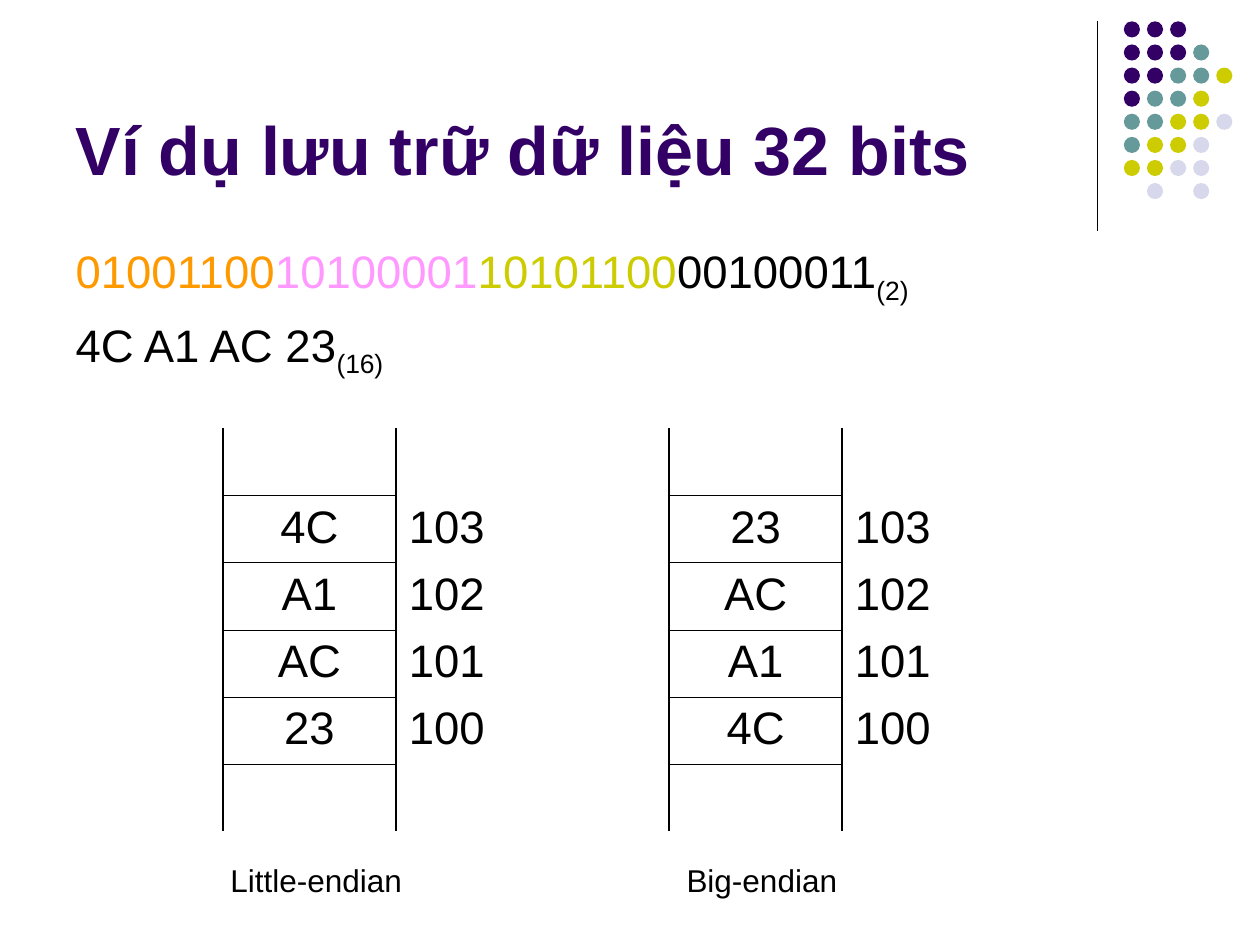
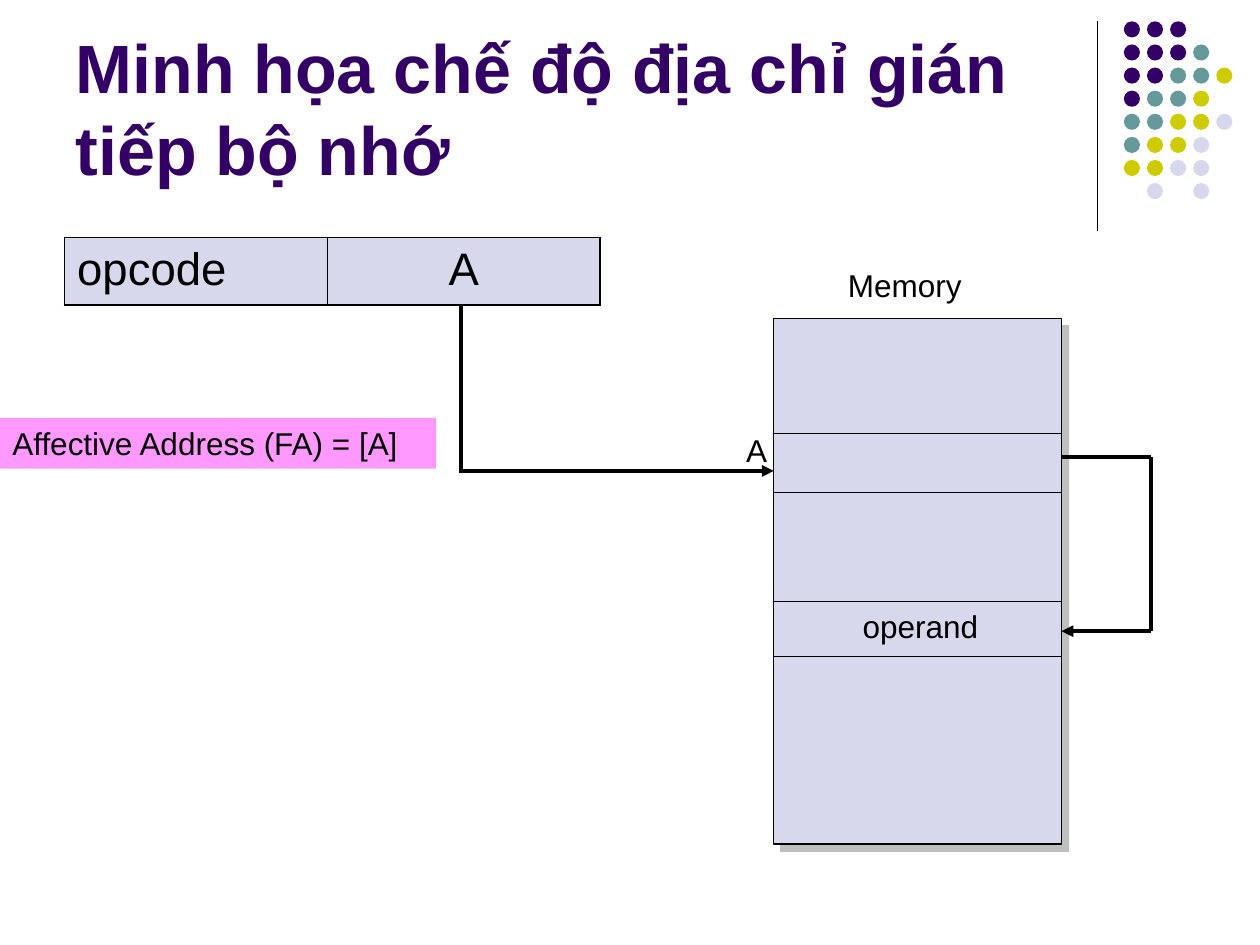
"""Builds two slides on byte order and memory-indirect addressing."""
from lxml import etree
from pptx import Presentation
from pptx.dml.color import RGBColor
from pptx.enum.shapes import MSO_CONNECTOR, MSO_SHAPE
from pptx.enum.text import MSO_ANCHOR, MSO_AUTO_SIZE, PP_ALIGN
from pptx.oxml.ns import qn
from pptx.util import Pt

STRAIGHT = MSO_CONNECTOR.STRAIGHT
OVAL, RECTANGLE = MSO_SHAPE.OVAL, MSO_SHAPE.RECTANGLE
LEFT, CENTER = PP_ALIGN.LEFT, PP_ALIGN.CENTER
BOTTOM = MSO_ANCHOR.BOTTOM
NO_AUTOFIT = MSO_AUTO_SIZE.NONE

FONT = "Arial"
COLORS = {
    "purple": "330066",
    "teal": "669999",
    "olive": "CCCC00",
    "lavender": "D8D8EC",
    "orange": "FF9900",
    "pink": "FF99FF",
    "black": "000000",
    "gray": "808080",
}
DOT_COLORS = {"P": "purple", "T": "teal", "O": "olive", "L": "lavender"}
DOT_ROWS = ["PPP", "PPPT", "PPTTO", "PTTO", "TTOOL", "TOOL", "OOLL", " L L"]
OUTER, INNER = 1.08, 0.45
ROW_HEIGHT = 38.4


def add_line(slide, x1, y1, x2, y2, width=0.75, arrow=False):
    line = slide.shapes.add_connector(STRAIGHT, Pt(x1), Pt(y1), Pt(x2), Pt(y2))
    line.line.color.rgb = RGBColor.from_string(COLORS["black"])
    line.line.width = Pt(width)
    if arrow:
        etree.SubElement(line.line._get_or_add_ln(), qn("a:tailEnd"), type="triangle")
    etree.SubElement(line._element.spPr, qn("a:effectLst"))


def format_cell(cell, text, alignment, borders, fill=None):
    paragraph = cell.text_frame.paragraphs[0]
    paragraph.text = text
    paragraph.alignment = alignment
    paragraph.font.name, paragraph.font.size = FONT, Pt(26)
    paragraph.font.color.rgb = RGBColor.from_string(COLORS["black"])
    if fill:
        cell.fill.solid()
        cell.fill.fore_color.rgb = RGBColor.from_string(COLORS[fill])
    else:
        cell.fill.background()
    properties = cell._tc.get_or_add_tcPr()
    for index, (side, width) in enumerate(zip("LRTB", borders)):
        border = etree.Element(qn(f"a:ln{side}"), w=str(Pt(width)))
        if width:
            solid = etree.SubElement(border, qn("a:solidFill"))
            etree.SubElement(solid, qn("a:srgbClr"), val=COLORS["black"])
        else:
            etree.SubElement(border, qn("a:noFill"))
        properties.insert(index, border)


presentation = Presentation()
presentation.slide_width, presentation.slide_height = Pt(720), Pt(540)
layouts = presentation.slide_layouts
storage_slide = presentation.slides.add_slide(layouts[1])
indirect_slide = presentation.slides.add_slide(layouts[5])

titles = [
    (storage_slide, "Ví dụ lưu trữ dữ liệu 32 bits"),
    (indirect_slide, "Minh họa chế độ địa chỉ gián tiếp bộ nhớ"),
]
for slide, title_text in titles:
    add_line(slide, 627.1, 12.2, 627.1, 131.8)
    for row, dots in enumerate(DOT_ROWS):
        for column, letter in enumerate(dots):
            if letter == " ":
                continue
            dot = slide.shapes.add_shape(
                OVAL, Pt(642.2 + 13.2 * column), Pt(12.2 + 13.2 * row), Pt(9.2), Pt(9.2))
            dot.shadow.inherit = False
            dot.fill.solid()
            dot.fill.fore_color.rgb = RGBColor.from_string(COLORS[DOT_COLORS[letter]])
            dot.line.fill.background()
    title = slide.shapes.title
    title.left, title.top, title.width, title.height = Pt(36), Pt(9.4), Pt(594), Pt(102.2)
    title.text_frame.text = title_text
    title.text_frame.auto_size = NO_AUTOFIT
    title.text_frame.vertical_anchor = BOTTOM
    paragraph = title.text_frame.paragraphs[0]
    paragraph.alignment = LEFT
    font = paragraph.runs[0].font
    font.name, font.size, font.bold = FONT, Pt(39), True
    font.color.rgb = RGBColor.from_string(COLORS["purple"])

body = storage_slide.placeholders[1]
body.left, body.top, body.width, body.height = Pt(36), Pt(135.4), Pt(610.6), Pt(347)
body.text_frame.auto_size = NO_AUTOFIT
numbers = [
    [("01001100", "orange"), ("10100001", "pink"), ("10101100", "olive"),
     ("00100011", "black"), ("(2)", "black")],
    [("4C A1 AC 23", "black"), ("(16)", "black")],
]
for index, parts in enumerate(numbers):
    paragraph = body.text_frame.add_paragraph() if index else body.text_frame.paragraphs[0]
    properties = paragraph._p.get_or_add_pPr()
    properties.set("marL", str(Pt(27)))
    properties.set("indent", str(-Pt(27)))
    etree.SubElement(properties, qn("a:buNone"))
    paragraph.space_before = Pt(6.5 * index)
    for text, color in parts:
        run = paragraph.add_run()
        run.text = text
        run.font.name, run.font.size = FONT, Pt(26)
        run.font.color.rgb = RGBColor.from_string(COLORS[color])
        if text.startswith("("):
            run.font._element.set("baseline", "-25000")

stored_bytes = ["4C", "A1", "AC", "23"]
addresses = ["", "103", "102", "101", "100", ""]
for left, values in [(127.4, stored_bytes), (382.3, stored_bytes[::-1])]:
    table = storage_slide.shapes.add_table(
        6, 2, Pt(left), Pt(244.8), Pt(198), Pt(6 * ROW_HEIGHT)).table
    table.first_row = table.horz_banding = False
    for row, (value, address) in enumerate(zip(["", *values, ""], addresses)):
        top = INNER if row > 0 else 0
        bottom = INNER if row < 5 else 0
        format_cell(table.cell(row, 0), value, CENTER, (OUTER, OUTER, top, bottom))
        format_cell(table.cell(row, 1), address, LEFT, (OUTER, 0, 0, 0))

memory_left, memory_right = 442.1, 606.6
memory = indirect_slide.shapes.add_shape(
    RECTANGLE, Pt(memory_left), Pt(182.2), Pt(memory_right - memory_left), Pt(300.2))
memory.shadow.inherit = False
memory.fill.solid()
memory.fill.fore_color.rgb = RGBColor.from_string(COLORS["lavender"])
memory.line.color.rgb = RGBColor.from_string(COLORS["black"])
memory.line.width = Pt(0.75)
effects = memory._element.spPr.find(qn("a:effectLst"))
shadow = etree.SubElement(
    effects, qn("a:outerShdw"), blurRad="0", dist=str(Pt(5.7)), dir="2700000")
shadow_color = etree.SubElement(shadow, qn("a:srgbClr"), val=COLORS["gray"])
etree.SubElement(shadow_color, qn("a:alpha"), val="50000")
for y in (247.7, 281.5, 343.6, 375.1):
    add_line(indirect_slide, memory_left, y, memory_right, y)

instruction = indirect_slide.shapes.add_table(
    1, 2, Pt(36.9), Pt(135.8), Pt(306), Pt(ROW_HEIGHT)).table
instruction.first_row = instruction.horz_banding = False
instruction.columns[0].width, instruction.columns[1].width = Pt(150.3), Pt(155.7)
format_cell(instruction.cell(0, 0), "opcode", LEFT, (OUTER, INNER, OUTER, OUTER), "lavender")
format_cell(instruction.cell(0, 1), "A", CENTER, (INNER, OUTER, OUTER, OUTER), "lavender")

pointer_x, pointer_y = 263.6, 269.1
loop_x, loop_top, loop_bottom = 657.5, 261.4, 360.7
add_line(indirect_slide, pointer_x, 173.8, pointer_x, pointer_y + 0.9, 2.25)
add_line(indirect_slide, pointer_x, pointer_y, memory_left, pointer_y, 2.25, True)
add_line(indirect_slide, memory_right, loop_top, loop_x, loop_top, 2.25)
add_line(indirect_slide, loop_x, loop_top, loop_x, loop_bottom, 2.25)
add_line(indirect_slide, loop_x, loop_bottom, memory_right, loop_bottom, 2.25, True)

labels = [
    (storage_slide, "Little-endian", 124.6, 488.2, 144.7, LEFT, None),
    (storage_slide, "Big-endian", 385.2, 488.2, 113.8, LEFT, None),
    (indirect_slide, "Memory", 459.4, 148.3, 115.2, CENTER, None),
    (indirect_slide, "A", 407.5, 242.6, 49.7, CENTER, None),
    (indirect_slide, "operand", 450.7, 343.6, 150.5, CENTER, None),
    (indirect_slide, "Affective Address (FA) = [A]", 0, 239, 249.1, LEFT, "pink"),
]
for slide, text, left, top, width, alignment, fill in labels:
    label = slide.shapes.add_textbox(Pt(left), Pt(top), Pt(width), Pt(28.8))
    label.text_frame.word_wrap = True
    label.text_frame.text = text
    if fill:
        label.fill.solid()
        label.fill.fore_color.rgb = RGBColor.from_string(COLORS[fill])
    paragraph = label.text_frame.paragraphs[0]
    paragraph.alignment = alignment
    font = paragraph.runs[0].font
    font.name, font.size = FONT, Pt(18)
    font.color.rgb = RGBColor.from_string(COLORS["black"])

presentation.save("out.pptx")
